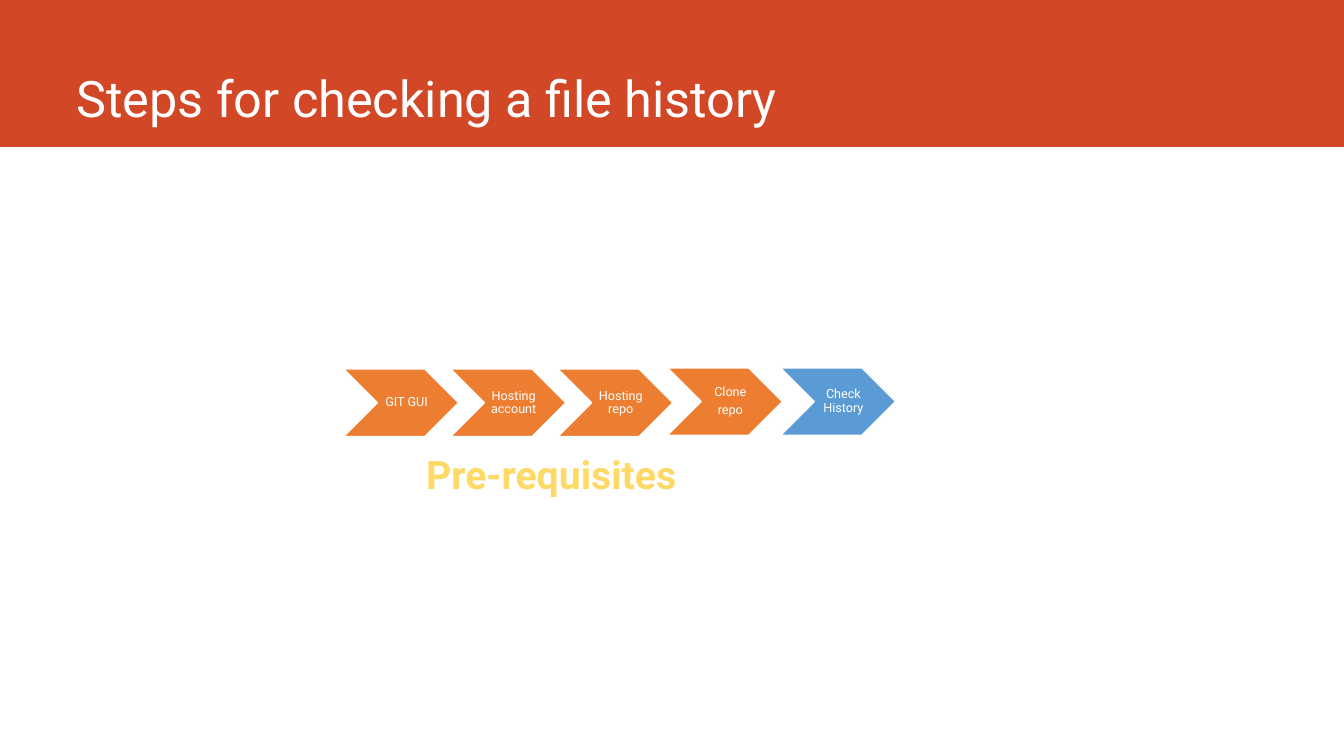
from pptx import Presentation
from pptx.dml.color import RGBColor
from pptx.enum.shapes import MSO_SHAPE as Shape
from pptx.enum.text import MSO_ANCHOR as Anchor, PP_ALIGN as Align
from pptx.util import Cm, Pt

FONT = "Roboto"
WHITE = RGBColor(0xFF, 0xFF, 0xFF)
RED = RGBColor(0xD2, 0x47, 0x26)
ORANGE = RGBColor(0xED, 0x7D, 0x31)
BLUE = RGBColor(0x5B, 0x9B, 0xD5)
YELLOW = RGBColor(0xFF, 0xD9, 0x66)

STEP_WIDTH, STEP_HEIGHT = 2.9, 1.7
# left, top, fill, paragraphs
STEPS = [
    (8.66, 9.3, ORANGE, ["GIT GUI"]),
    (11.36, 9.3, ORANGE, ["Hosting account"]),
    (14.06, 9.3, ORANGE, ["Hosting repo"]),
    (16.82, 9.27, ORANGE, ["Clone", "repo"]),
    (19.67, 9.27, BLUE, ["Check History"]),
]


def add_run(paragraph, text, size, color, bold=False):
    run = paragraph.add_run()
    run.text = text
    run.font.name = FONT
    run.font.size = Pt(size)
    run.font.bold = bold
    run.font.color.rgb = color


deck = Presentation()
deck.slide_width, deck.slide_height = Cm(33.87), Cm(19.05)
slide = deck.slides.add_slide(deck.slide_layouts[6])

banner = slide.shapes.add_shape(Shape.RECTANGLE, 0, 0, deck.slide_width, Cm(3.7))
banner.shadow.inherit = False
banner.fill.solid()
banner.fill.fore_color.rgb = RED
banner.line.fill.background()

title = slide.shapes.add_textbox(Cm(1.68), 0, Cm(29.87), Cm(3.35)).text_frame
title.word_wrap = True
title.vertical_anchor = Anchor.BOTTOM
title.paragraphs[0].line_spacing = 0.9
add_run(title.paragraphs[0], "Steps for checking a file history", 36, WHITE)

for left, top, color, lines in STEPS:
    step = slide.shapes.add_group_shape().shapes
    chevron = step.add_shape(Shape.CHEVRON, Cm(left), Cm(top), Cm(STEP_WIDTH), Cm(STEP_HEIGHT))
    chevron.shadow.inherit = False
    chevron.fill.solid()
    chevron.fill.fore_color.rgb = color
    chevron.line.color.rgb = WHITE
    chevron.line.width = Pt(1)

    label = step.add_textbox(Cm(left + 0.09), Cm(top), Cm(2.51), Cm(STEP_HEIGHT)).text_frame
    label.word_wrap = True
    label.vertical_anchor = Anchor.MIDDLE
    label.margin_left = Cm(0.71)
    label.margin_top = label.margin_right = label.margin_bottom = Cm(0.23)
    for number, line in enumerate(lines):
        paragraph = label.add_paragraph() if number else label.paragraphs[0]
        paragraph.alignment = Align.CENTER
        paragraph.line_spacing = 0.9
        paragraph.space_after = Pt(3)
        add_run(paragraph, line, 9, WHITE)

caption = slide.shapes.add_textbox(Cm(8.66), Cm(11.23), Cm(10.46), Cm(1.45)).text_frame
caption.word_wrap = True
caption.paragraphs[0].alignment = Align.CENTER
add_run(caption.paragraphs[0], "Pre-requisites", 28, YELLOW, bold=True)

deck.save("out.pptx")
